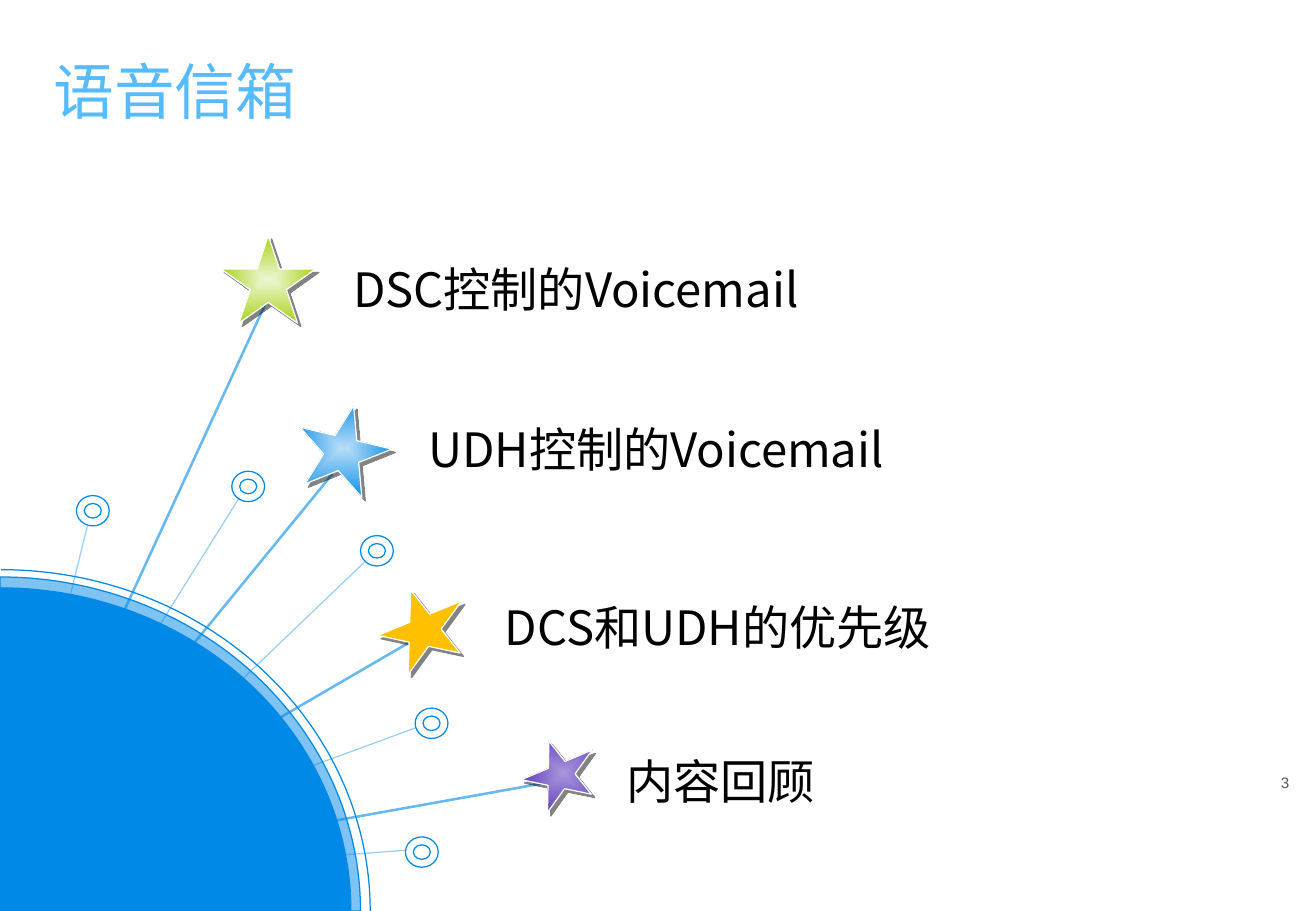
import math

from lxml import etree
from pptx import Presentation
from pptx.dml.color import RGBColor
from pptx.enum.shapes import MSO_CONNECTOR, MSO_SHAPE
from pptx.enum.text import MSO_ANCHOR, MSO_AUTO_SIZE, PP_ALIGN
from pptx.oxml.ns import qn
from pptx.util import Inches, Pt

STRAIGHT = MSO_CONNECTOR.STRAIGHT
STAR, DONUT = MSO_SHAPE.STAR_5_POINT, MSO_SHAPE.DONUT
TOP, MIDDLE = MSO_ANCHOR.TOP, MSO_ANCHOR.MIDDLE
LEFT, RIGHT = PP_ALIGN.LEFT, PP_ALIGN.RIGHT
FIXED = MSO_AUTO_SIZE.NONE

BLUE = RGBColor(0x00, 0x89, 0xE6)
TITLE_BLUE = RGBColor(0x57, 0xBB, 0xFF)
WHITE = RGBColor(0xFF, 0xFF, 0xFF)
BLACK = RGBColor(0x00, 0x00, 0x00)
GREY = RGBColor(0x59, 0x59, 0x59)
SHADOW = RGBColor(0x08, 0x08, 0x08)
AMBER = RGBColor(0xFF, 0xC0, 0x00)
GREENS = (RGBColor(0xED, 0xF6, 0xD2), RGBColor(0xA7, 0xD4, 0x1C))
BLUES = (RGBColor(0xB6, 0xDD, 0xF8), BLUE)
PURPLES = (RGBColor(0xA7, 0x94, 0xDB), RGBColor(0x52, 0x2D, 0xB8))

CJK, LATIN = "Noto Sans CJK SC", "Arial"
HUB = (0, 7.25)
CORNER = (0, 7.5)
RING_SIZE = (0.27, 0.25)

THIN_RAYS = [
    ((3.34, 7), HUB), ((0.72, 4.33), HUB), ((1.97, 4.1), HUB),
    ((3.43, 5.99), HUB), ((3, 4.63), CORNER),
]
THICK_RAYS = [((2.21, 2.45), HUB), ((2.74, 3.9), HUB),
              ((3.37, 5.29), HUB), ((4.58, 6.43), HUB)]
RINGS = [(1.91, 3.88), (2.97, 4.41), (3.42, 5.83), (0.63, 4.08), (3.34, 6.89)]
STARS = [
    ((4.36, 6.06, 0.56, 0.61), 51.4, PURPLES),
    ((1.82, 1.94, 0.78, 0.72), 0, GREENS),
    ((2.44, 3.33, 0.78, 0.72), 13.4, BLUES),
    ((3.19, 4.81, 0.66, 0.72), 51.9, (AMBER,)),
]
TOPICS = [
    ("DSC控制的Voicemail", (2.81, 2.09, 5.21, 0.57)),
    ("UDH控制的Voicemail", (3.43, 3.41, 4.87, 0.57)),
    ("DCS和UDH的优先级", (4.06, 4.88, 4.51, 0.57)),
    ("内容回顾", (5.06, 6.14, 3.26, 0.57)),
]


def inches(values):
    """Turn a sequence of numbers into lengths."""
    return [Inches(value) for value in values]


def set_alpha(fill_parent, percent):
    """Make the solid colour below an element partly transparent."""
    color = fill_parent.find(qn("a:solidFill"))[0]
    etree.SubElement(color, qn("a:alpha"), val=str(percent * 1000))


def set_line(shape, color, width):
    """Give a shape or connector a solid line."""
    shape.line.color.rgb = color
    shape.line.width = Pt(width)


def set_solid(shape, color, percent=100):
    """Give a shape a solid fill with an opacity."""
    shape.fill.solid()
    shape.fill.fore_color.rgb = color
    if percent < 100:
        set_alpha(shape.fill._xPr, percent)


def set_glow(shape, colors):
    """Fill a shape with a gradient that spreads from its centre."""
    shape.fill.gradient()
    for stop, color in zip(shape.fill.gradient_stops, colors):
        stop.color.rgb = color
    gradient = shape.fill._xPr.find(qn("a:gradFill"))
    gradient.remove(gradient.find(qn("a:lin")))
    spread = etree.SubElement(gradient, qn("a:path"), {"path": "rect"})
    sides = dict.fromkeys("ltrb", "50000")
    etree.SubElement(spread, qn("a:fillToRect"), sides)


def add_ray(page, start, end, width, percent):
    """Draw a translucent line from a marker towards the hub."""
    ray = page.shapes.add_connector(STRAIGHT, *inches(start + end))
    set_line(ray, BLUE, width)
    properties = ray._element.spPr
    set_alpha(properties.find(qn("a:ln")), percent)
    etree.SubElement(properties, qn("a:effectLst"))


def add_quarter(page, left, radius_x, radius_y, percent):
    """Draw a quarter disc at the corner, or only its arc at zero percent."""
    angles = [math.radians(90 - step) for step in range(91)]
    points = [(Inches(left + radius_x * math.cos(angle)),
               Inches(CORNER[1] - radius_y * math.sin(angle)))
              for angle in angles]
    if percent:
        points.append((Inches(left), Inches(CORNER[1])))
    builder = page.shapes.build_freeform(*points[0])
    builder.add_line_segments(points[1:], close=percent > 0)
    quarter = builder.convert_to_shape()
    quarter.shadow.inherit = False
    set_line(quarter, BLUE, 0.75)
    if percent:
        set_solid(quarter, BLUE, percent)
    else:
        quarter.fill.background()


def add_ring(page, corner):
    """Draw a small ring marker."""
    ring = page.shapes.add_shape(DONUT, *inches(corner + RING_SIZE))
    ring.adjustments[0] = 0.26
    ring.shadow.inherit = False
    set_solid(ring, WHITE, 60)
    set_line(ring, BLUE, 0.75)


def add_star(page, place, angle, colors):
    """Draw a star with a white edge and a hard shadow."""
    star = page.shapes.add_shape(STAR, *inches(place))
    star.rotation = angle
    if len(colors) > 1:
        set_glow(star, colors)
    else:
        set_solid(star, colors[0])
    set_line(star, WHITE, 0.75)
    star.shadow.inherit = False
    effects = star._element.spPr.find(qn("a:effectLst"))
    shadow = etree.SubElement(effects, qn("a:outerShdw"), {
        "blurRad": "0", "dist": str(Pt(2.8)), "dir": "2700000",
        "algn": "ctr", "rotWithShape": "0"})
    color = etree.SubElement(shadow, qn("a:srgbClr"), val=str(SHADOW))
    etree.SubElement(color, qn("a:alpha"), val="50000")


def write(box, text, name, size, color, anchor=TOP, align=LEFT, spacing=None):
    """Write one formatted paragraph into a box."""
    frame = box.text_frame
    frame.text = text
    frame_format = {
        "word_wrap": True, "auto_size": FIXED, "vertical_anchor": anchor,
        "margin_left": Inches(0.1), "margin_right": Inches(0.1),
        "margin_top": Inches(0.05), "margin_bottom": Inches(0.05)}
    para = frame.paragraphs[0]
    span = para.runs[0]
    para_format = {"alignment": align, "line_spacing": spacing}
    font_format = {"name": name, "size": Pt(size), "bold": False}
    for target, values in ((frame, frame_format), (para, para_format),
                           (span.font, font_format)):
        for key, value in values.items():
            setattr(target, key, value)
    span.font.color.rgb = color
    latin = span.font._element.find(qn("a:latin"))
    latin.addnext(latin.makeelement(qn("a:ea"), {"typeface": name}))


def add_text(page, place, *words, **layout):
    """Add a text box at a place."""
    write(page.shapes.add_textbox(*inches(place)), *words, **layout)


def main():
    """Build and save the slide."""
    deck = Presentation()
    deck.slide_width, deck.slide_height = inches((10.84, 7.5))
    page = deck.slides.add_slide(deck.slide_layouts[5])
    title = page.shapes.title
    title.left, title.top, title.width, title.height = inches(
        (0.34, 0.52, 9.95, 0.58))
    write(title, "语音信箱", CJK, 36, TITLE_BLUE, MIDDLE, spacing=Pt(34))
    add_text(page, (9.95, 6.32, 0.77, 0.25), "3", LATIN, 9, GREY, align=RIGHT)

    add_quarter(page, 0.01, 3.04, 2.81, 0)
    for start, end in THIN_RAYS:
        add_ray(page, start, end, 0.75, 40)
    for start, end in THICK_RAYS:
        add_ray(page, start, end, 1.5, 60)
    add_quarter(page, 0, 2.97, 2.75, 50)
    add_quarter(page, 0, 2.89, 2.66, 100)
    for corner in RINGS:
        add_ring(page, corner)
    for place, angle, colors in STARS:
        add_star(page, place, angle, colors)
    for text, place in TOPICS:
        add_text(page, place, text, CJK, 28, BLACK)
    deck.save("out.pptx")


if __name__ == "__main__":
    main()
